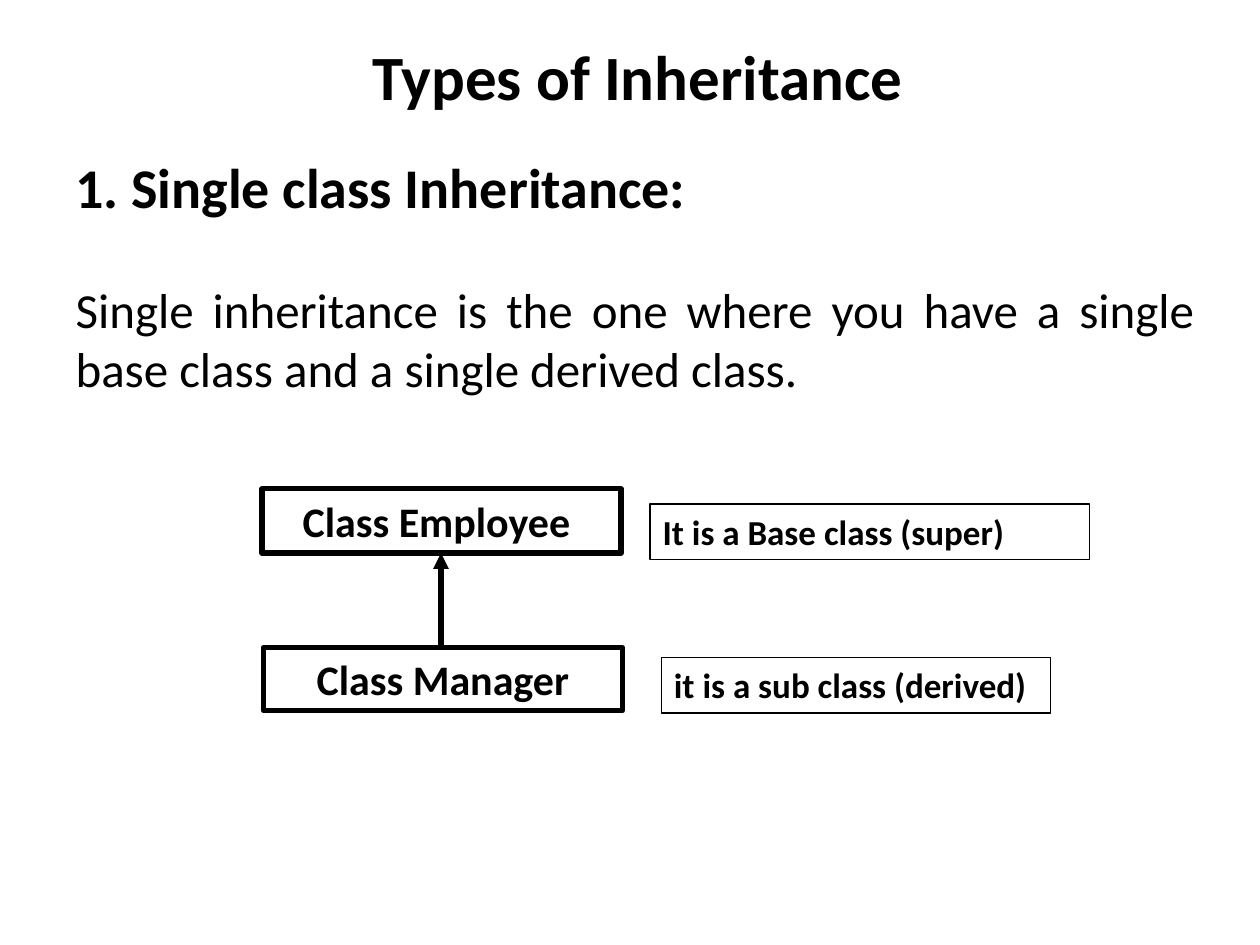
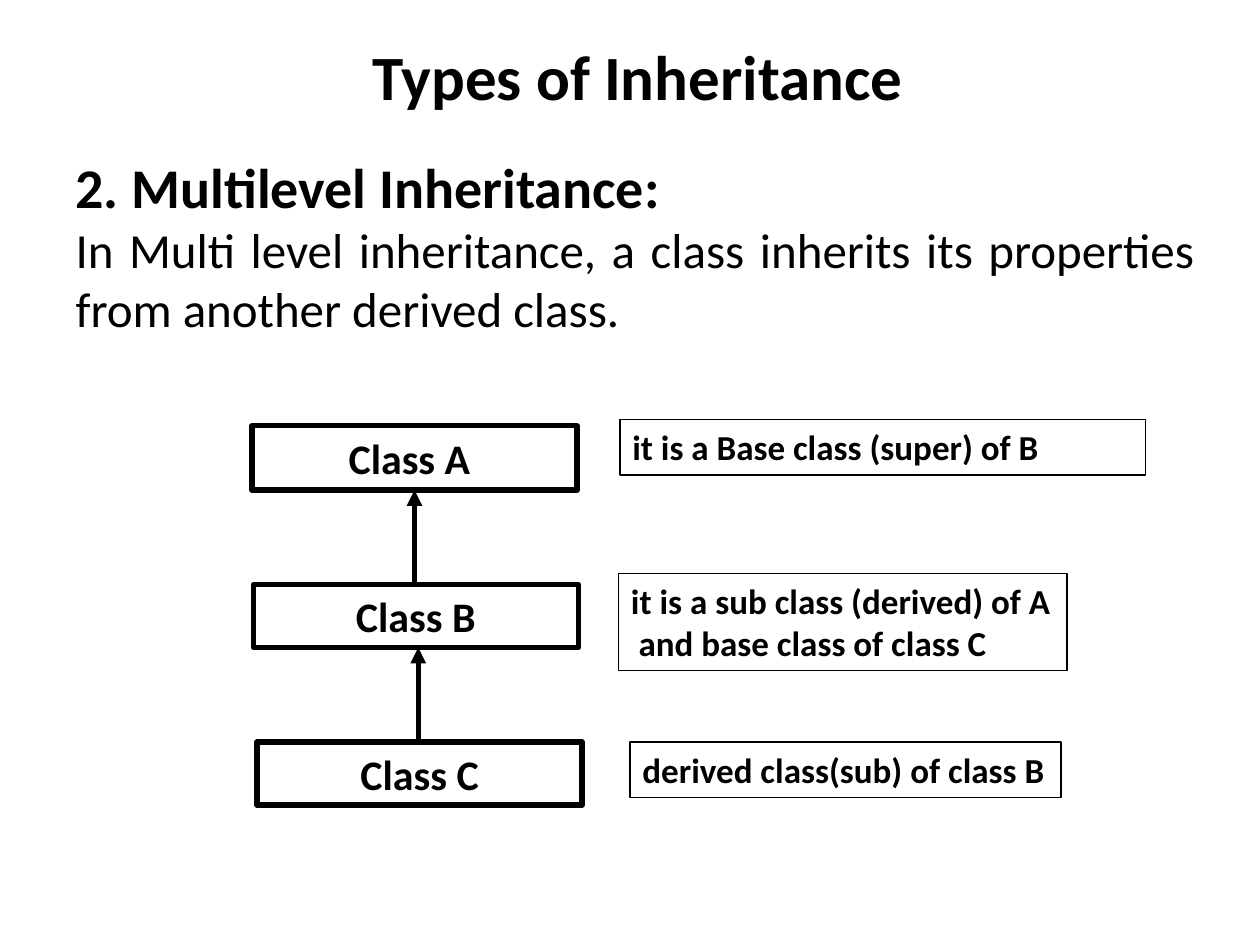
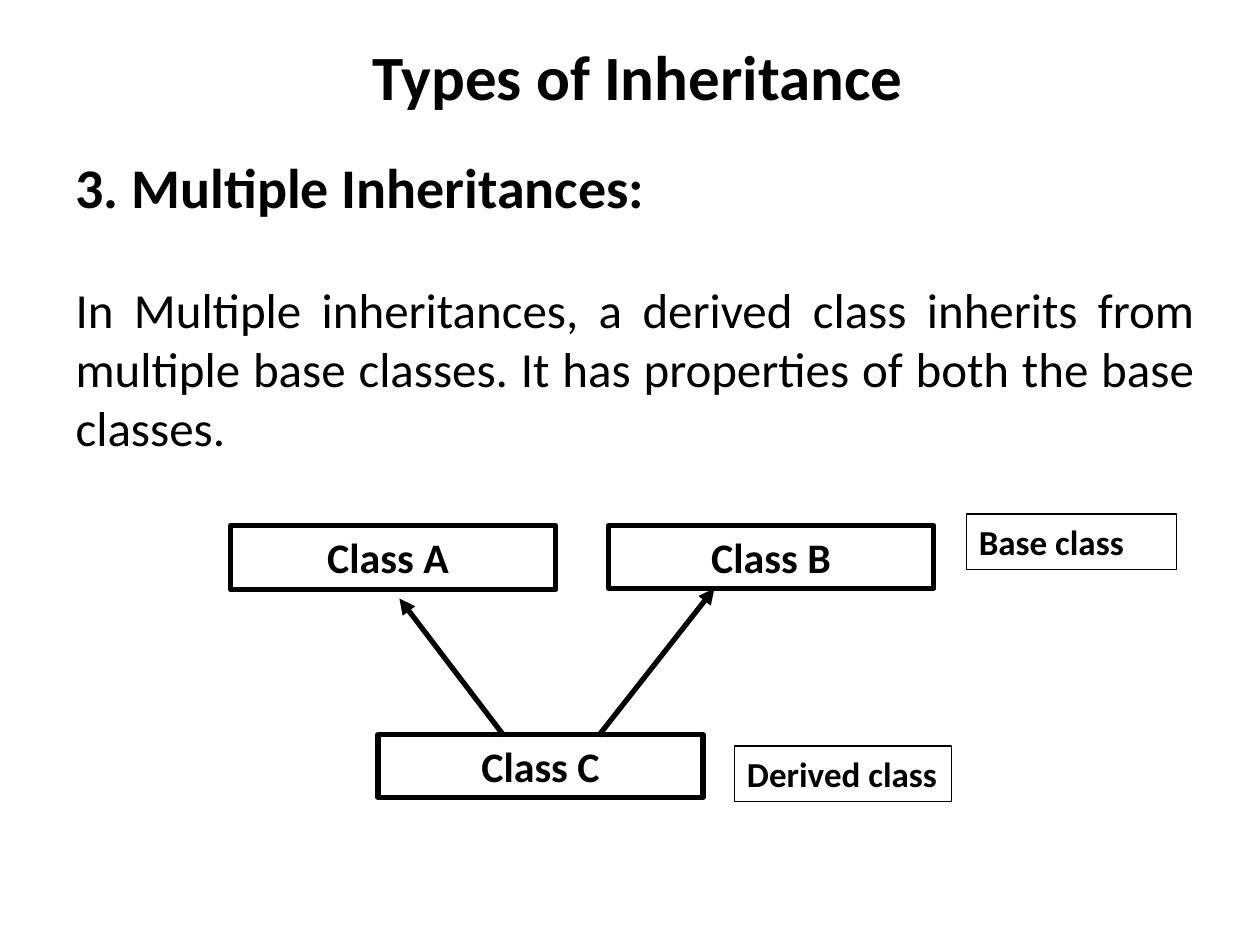
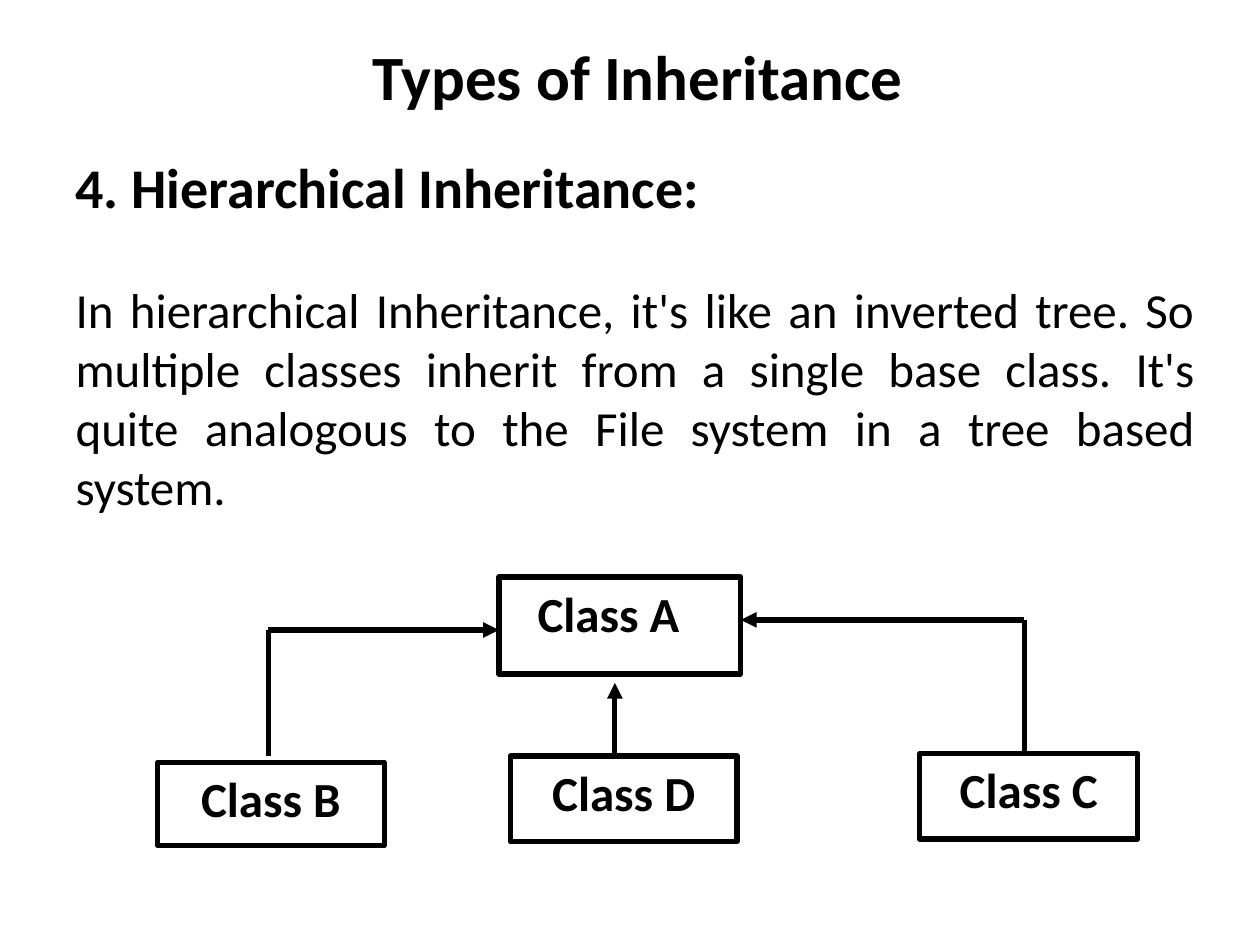
from dataclasses import dataclass

from lxml.etree import SubElement
from pptx import Presentation
from pptx.dml.color import RGBColor
from pptx.enum.shapes import MSO_CONNECTOR as Connector
from pptx.enum.shapes import MSO_SHAPE as Shape
from pptx.enum.text import MSO_ANCHOR as Anchor
from pptx.enum.text import MSO_AUTO_SIZE as AutoSize
from pptx.enum.text import PP_ALIGN as Align
from pptx.oxml.ns import qn
from pptx.util import Inches, Pt

BLACK = RGBColor(0, 0, 0)
FONT = "Calibri"
HEADING = "Types of Inheritance"
BLANK_LINE = 34.2
SECOND_LINE_INDENT = 0.06


@dataclass(frozen=True)
class ClassBox:
    label: str
    left: float
    top: float
    width: float = 2.58
    height: float = 0.5
    size: int = 24
    right_inset: float = 0.1


@dataclass(frozen=True)
class Note:
    lines: tuple[str, ...]
    left: float
    top: float
    width: float
    height: float = 0.44


@dataclass(frozen=True)
class Link:
    start: tuple[float, float]
    end: tuple[float, float]
    arrow: bool = True


@dataclass(frozen=True)
class Topic:
    subheading: str
    definition: str
    body_height: float
    classes: tuple[ClassBox, ...]
    notes: tuple[Note, ...]
    links: tuple[Link, ...]
    gap: float = BLANK_LINE


TOPICS = (
    Topic(
        "1. Single class Inheritance:",
        "Single inheritance is the one where you have a single base class and a single derived class.",
        2.05,
        (
            ClassBox("Class Employee", 2.08, 3.88, 2.85, 0.51, right_inset=0.18),
            ClassBox("Class Manager", 2.09, 5.14, 2.85),
        ),
        (
            Note(("It is a Base class (super)",), 5.16, 4, 3.49),
            Note(("it is a sub class (derived)",), 5.25, 5.22, 3.09),
        ),
        (Link((3.5, 5.14), (3.5, 4.39)),),
    ),
    Topic(
        "2. Multilevel Inheritance:",
        "In Multi level inheritance, a class inherits its properties from another derived class.",
        1.58,
        (
            ClassBox("Class A", 2, 3.38, height=0.51, right_inset=0.18),
            ClassBox("Class B", 2.01, 4.64),
            ClassBox("Class C", 2.04, 5.89),
        ),
        (
            Note(("it is a Base class (super) of B",), 4.92, 3.33, 4.17),
            Note(
                ("it is a sub class (derived) of A", "and base class of class C"),
                4.91, 4.55, 3.56, 0.77,
            ),
            Note(("derived class(sub) of class B",), 5, 5.89, 3.42),
        ),
        (
            Link((3.29, 4.64), (3.29, 3.89)),
            Link((3.32, 5.89), (3.32, 5.14)),
        ),
        gap=0,
    ),
    Topic(
        "3. Multiple Inheritances:",
        "In Multiple inheritances, a derived class inherits from multiple base classes. "
        "It has properties of both the base classes.",
        2.52,
        (
            ClassBox("Class A", 1.83, 4.17, height=0.51, right_inset=0.18),
            ClassBox("Class B", 4.83, 4.17),
            ClassBox("Class C", 3, 5.83),
        ),
        (
            Note(("Base class",), 7.67, 4.08, 1.67),
            Note(("Derived class",), 5.83, 5.92, 1.72),
        ),
        (
            Link((4.75, 5.84), (5.67, 4.67)),
            Link((4, 5.84), (3.17, 4.75)),
        ),
    ),
    Topic(
        "4. Hierarchical Inheritance:",
        "In hierarchical Inheritance, it's like an inverted tree. So multiple classes inherit "
        "from a single base class. It's quite analogous to the File system in a tree based system.",
        2.99,
        (
            ClassBox("Class A", 3.96, 4.58, 1.92, 0.77, 28, 0.28),
            ClassBox("Class B", 1.25, 6.05, 1.8, 0.66, 28),
            ClassBox("Class C", 7.3, 5.98, 1.73, 0.68, 28),
            ClassBox("Class D", 4.05, 6, 1.8, 0.68, 28),
        ),
        (),
        (
            Link((2.13, 6), (2.13, 5), arrow=False),
            Link((2.13, 5), (3.96, 5)),
            Link((8.13, 6), (8.13, 4.92), arrow=False),
            Link((8.13, 4.92), (5.88, 4.92)),
            Link((4.88, 6), (4.88, 5.42)),
        ),
    ),
)


def place(part, left: float, top: float, width: float, height: float) -> None:
    part.left, part.top = Inches(left), Inches(top)
    part.width, part.height = Inches(width), Inches(height)


def format_runs(paragraph, size: int, bold: bool = True) -> None:
    for run in paragraph.runs:
        run.font.name = FONT
        run.font.size = Pt(size)
        run.font.bold = bold
        run.font.color.rgb = BLACK


def write_heading(slide) -> None:
    title = slide.shapes.title
    place(title, 2.83, 0.25, 4.46, 0.71)
    frame = title.text_frame
    frame.text = HEADING
    frame.vertical_anchor = Anchor.TOP
    frame.auto_size = AutoSize.NONE
    frame.paragraphs[0].alignment = Align.CENTER
    format_runs(frame.paragraphs[0], 36)


def write_definition(slide, topic: Topic) -> None:
    body = slide.placeholders[1]
    place(body, 0.5, 1.16, 9.08, topic.body_height)
    frame = body.text_frame
    frame.auto_size = AutoSize.NONE
    frame.text = f"{topic.subheading}\n{topic.definition}"
    styles = ((32, True, Align.LEFT, 0), (28, False, Align.JUSTIFY, topic.gap))
    for paragraph, (size, bold, alignment, gap) in zip(frame.paragraphs, styles):
        properties = paragraph._p.get_or_add_pPr()
        properties.set("marL", "0")
        properties.set("indent", "0")
        SubElement(properties, qn("a:buNone"))
        paragraph.alignment = alignment
        paragraph.space_before = Pt(gap)
        format_runs(paragraph, size, bold)


def draw_frame(slide, part: ClassBox | Note, line_width: float):
    outline = slide.shapes.add_shape(Shape.RECTANGLE, 0, 0, 0, 0)
    place(outline, part.left, part.top, part.width, part.height)
    outline.shadow.inherit = False
    outline.fill.background()
    outline.line.color.rgb = BLACK
    outline.line.width = Pt(line_width)
    frame = outline.text_frame
    frame.word_wrap = True
    frame.vertical_anchor = Anchor.TOP
    return frame


def draw_class(slide, box: ClassBox) -> None:
    frame = draw_frame(slide, box, 3)
    frame.margin_right = Inches(box.right_inset)
    frame.text = box.label
    paragraph = frame.paragraphs[0]
    paragraph.alignment = Align.CENTER
    paragraph.space_after = Pt(10)
    format_runs(paragraph, box.size)


def draw_note(slide, note: Note) -> None:
    frame = draw_frame(slide, note, 0.75)
    frame.text = "\n".join(note.lines)
    for index, paragraph in enumerate(frame.paragraphs):
        paragraph.alignment = Align.LEFT
        if index:
            indent = Inches(SECOND_LINE_INDENT)
            paragraph._p.get_or_add_pPr().set("marL", str(indent))
        format_runs(paragraph, 20)


def draw_link(slide, link: Link) -> None:
    ends = [Inches(value) for value in (*link.start, *link.end)]
    connector = slide.shapes.add_connector(Connector.STRAIGHT, *ends)
    connector.line.color.rgb = BLACK
    connector.line.width = Pt(3)
    if link.arrow:
        SubElement(connector.line._get_or_add_ln(), qn("a:tailEnd"), type="triangle")
    SubElement(connector._element.spPr, qn("a:effectLst"))


def main() -> None:
    deck = Presentation()
    deck.slide_width, deck.slide_height = Inches(10), Inches(7.5)
    for topic in TOPICS:
        slide = deck.slides.add_slide(deck.slide_layouts[1])
        write_heading(slide)
        write_definition(slide, topic)
        for box in topic.classes:
            draw_class(slide, box)
        for note in topic.notes:
            draw_note(slide, note)
        for link in topic.links:
            draw_link(slide, link)
    deck.save("out.pptx")


if __name__ == "__main__":
    main()
